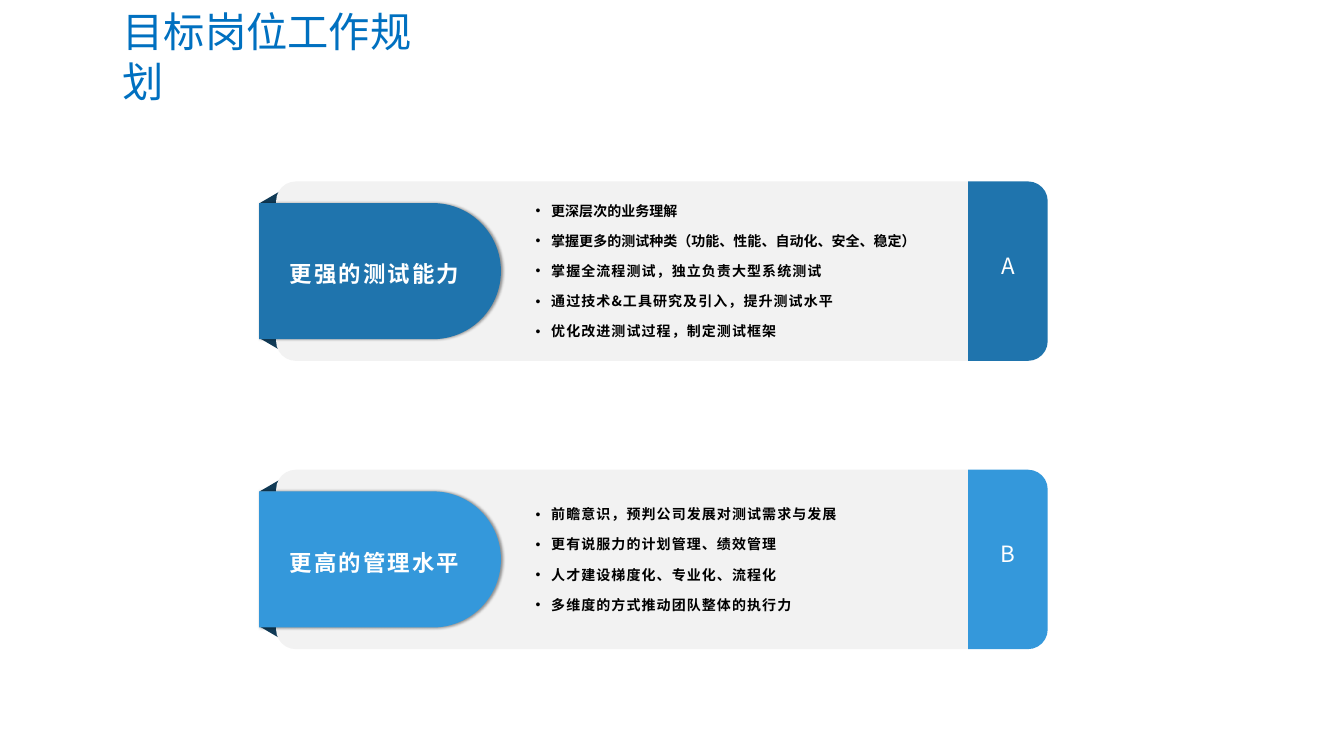
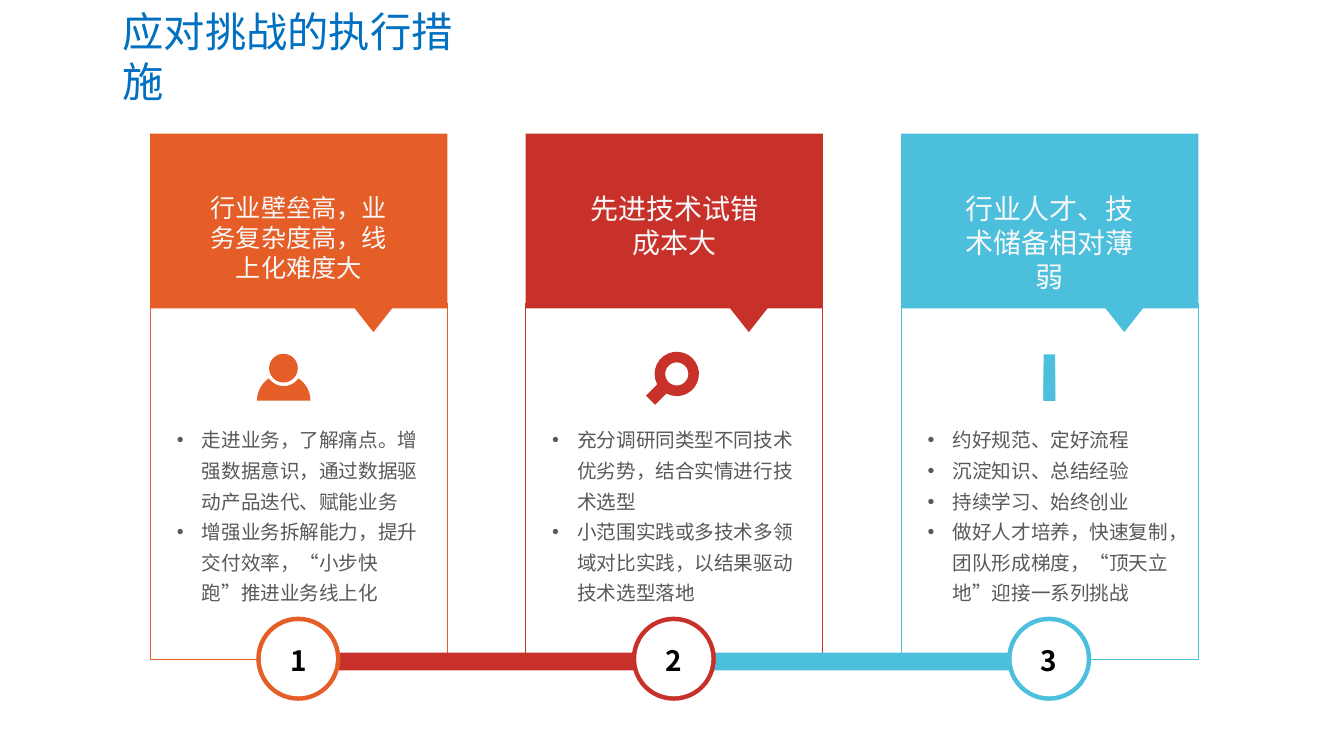
from math import cos, radians, sin

from lxml import etree
from pptx import Presentation
from pptx.dml.color import RGBColor
from pptx.enum.shapes import MSO_SHAPE
from pptx.enum.text import MSO_ANCHOR, PP_ALIGN
from pptx.oxml.ns import qn
from pptx.util import Inches, Pt

RECTANGLE = MSO_SHAPE.RECTANGLE
OVAL = MSO_SHAPE.OVAL
TRIANGLE = MSO_SHAPE.RIGHT_TRIANGLE
ROUNDED_END = MSO_SHAPE.ROUND_2_SAME_RECTANGLE
TOP, MIDDLE = MSO_ANCHOR.TOP, MSO_ANCHOR.MIDDLE
LEFT, CENTER = PP_ALIGN.LEFT, PP_ALIGN.CENTER

CELL = Inches(1)
COLUMNS, ROWS = 26.67, 15
FONT = "Noto Sans CJK SC"
TITLE_BLUE, WHITE, BLACK = "0070C0", "FFFFFF", "000000"
PANEL_GREY, FOLD_NAVY = "F2F2F2", "103A56"
HEADER_WHITE, BODY_GREY = "F8F8F8", "595959"

BANNER_TOP, BANNER_PITCH, BANNER_HEIGHT = 3.6, 5.72, 3.56
TAB_INSET = 0.43
CARD_LEFT, CARD_PITCH, CARD_WIDTH = 2.98, 7.45, 5.9
CARD_TOP, HEADER_BOTTOM, POINTER_TIP = 2.65, 6.12, 6.59
ICON_BASE = 7.95
TRACK_MIDDLE = 13.07

BANNERS = [
    ("更强的测试能力", "A", "1F74AD", [
        ("更深层次的业务理解", 0),
        ("掌握更多的测试种类（功能、性能、自动化、安全、稳定）", 0),
        ("掌握全流程测试，独立负责大型系统测试", 1.5),
        ("通过技术&工具研究及引入，提升测试水平", 1.5),
        ("优化改进测试过程，制定测试框架", 1.5),
    ]),
    ("更高的管理水平", "B", "3498DB", [
        ("前瞻意识，预判公司发展对测试需求与发展", 1.5),
        ("更有说服力的计划管理、绩效管理", 1.5),
        ("人才建设梯度化、专业化、流程化", 1.5),
        ("多维度的方式推动团队整体的执行力", 1.5),
    ]),
]


def cells(*values):
    """Turn grid cells into slide lengths."""
    return [round(value * CELL) for value in values]


def color(hex_string):
    """Turn a hex string into a colour."""
    return RGBColor.from_string(hex_string)


def paint(shape, fill, line=None):
    """Give a shape a flat fill and an optional outline."""
    shape.shadow.inherit = False
    shape.fill.solid()
    shape.fill.fore_color.rgb = color(fill)
    if line:
        shape.line.color.rgb = color(line)
        shape.line.width = Pt(1.13)
    else:
        shape.line.fill.background()
    return shape


def add_block(shapes, kind, box, fill, line=None):
    """Add a preset shape."""
    return paint(shapes.add_shape(kind, *cells(*box)), fill, line)


def add_outline(shapes, contours, fill):
    """Add a closed freeform made of one or more contours."""
    builder = None
    for contour in contours:
        start, *rest = [cells(*point) for point in contour]
        if builder is None:
            builder = shapes.build_freeform(*start, scale=1.0)
        else:
            builder.move_to(*start)
        builder.add_line_segments(rest, close=True)
    return paint(builder.convert_to_shape(), fill)


def arc(center, radius, start, end, steps=24):
    """List points along an arc, in degrees clockwise from the right."""
    angles = [radians(start + (end - start) * step / steps) for step in range(steps + 1)]
    return [(center[0] + radius * cos(angle), center[1] + radius * sin(angle))
            for angle in angles]


def add_rounded_end(shapes, box, radius, rotation, fill):
    """Add a bar whose left (270) or right (90) end is rounded."""
    left, top, width, height = box
    upright = (left + (width - height) / 2, top + (height - width) / 2, height, width)
    shape = add_block(shapes, ROUNDED_END, upright, fill)
    shape.rotation = rotation
    shape.adjustments[0] = radius / min(width, height)
    return shape


def add_drop_shadow(shape):
    """Cast a soft shadow to the right."""
    effects = shape.element.spPr.find(qn("a:effectLst"))
    shadow = etree.SubElement(effects, qn("a:outerShdw"), blurRad=str(Pt(4)),
                              dist=str(Pt(2)), dir="0", rotWithShape="0")
    tint = etree.SubElement(shadow, qn("a:srgbClr"), val=BLACK)
    etree.SubElement(tint, qn("a:alpha"), val="40000")


def add_text_box(shapes, box, anchor=TOP):
    """Add a wrapping text box and return its text frame."""
    frame = shapes.add_textbox(*cells(*box)).text_frame
    frame.word_wrap = True
    frame.vertical_anchor = anchor
    return frame


def add_run(paragraph, text, size, hex_string, bold=False, spacing=0):
    """Add a styled run to a paragraph."""
    run = paragraph.add_run()
    run.text = text
    run.font.size = Pt(size)
    run.font.bold = bold
    run.font.name = FONT
    run.font.color.rgb = color(hex_string)
    properties = run.font._element
    properties.set("lang", "zh-CN")
    if spacing:
        properties.set("spc", str(round(spacing * 100)))
    east_asian = etree.Element(qn("a:ea"), typeface=FONT)
    properties.find(qn("a:latin")).addnext(east_asian)


def add_label(shapes, box, text, size, hex_string, bold=False, spacing=0,
              line_spacing=None, anchor=TOP, align=CENTER):
    """Add a one-paragraph text box."""
    frame = add_text_box(shapes, box, anchor)
    paragraph = frame.paragraphs[0]
    paragraph.alignment = align
    if line_spacing:
        paragraph.line_spacing = line_spacing
    add_run(paragraph, text, size, hex_string, bold, spacing)
    return frame


def add_bullets(shapes, box, items, size, hex_string, indent, bold=False,
                line_spacing=None, gap=0, anchor=TOP):
    """Add a bulleted list of (text, letter spacing) items."""
    frame = add_text_box(shapes, box, anchor)
    for index, (text, spacing) in enumerate(items):
        paragraph = frame.add_paragraph() if index else frame.paragraphs[0]
        properties = paragraph._p.get_or_add_pPr()
        properties.set("marL", str(Inches(indent)))
        properties.set("indent", str(-Inches(indent)))
        etree.SubElement(properties, qn("a:buFont"), typeface="Arial")
        etree.SubElement(properties, qn("a:buChar"), char="•")
        if line_spacing:
            paragraph.line_spacing = line_spacing
        if index and gap:
            paragraph.space_before = Pt(gap)
        add_run(paragraph, text, size, hex_string, bold, spacing)


def add_titled_slide(presentation, title, width):
    """Add a blank slide with the shared title style."""
    slide = presentation.slides.add_slide(presentation.slide_layouts[6])
    frame = add_label(slide.shapes, (2.36, 0.56, width, 1.1), title, 59, TITLE_BLUE,
                      anchor=MIDDLE, align=LEFT)
    frame.margin_left = frame.margin_right = Inches(0.07)
    frame.margin_top = frame.margin_bottom = Inches(0.06)
    return slide


def add_banner(shapes, top, heading, letter, accent, items):
    """Add a ribbon banner with a heading tab, a list and a lettered end."""
    bottom = top + BANNER_HEIGHT
    tab_height = BANNER_HEIGHT - 2 * TAB_INSET
    lower_fold = add_block(shapes, TRIANGLE, (5.28, bottom - 0.59, 0.38, 0.65), FOLD_NAVY)
    lower_fold.element.spPr.xfrm.set("flipV", "1")
    lower_fold.rotation = 90
    upper_fold = add_block(shapes, TRIANGLE, (5.28, top - 0.08, 0.38, 0.65), FOLD_NAVY)
    upper_fold.rotation = 270
    add_rounded_end(shapes, (5.48, top, 13.73, BANNER_HEIGHT), 0.39, 270, PANEL_GREY)
    tab = add_rounded_end(shapes, (5.14, top + TAB_INSET, 4.8, tab_height),
                          tab_height / 2, 90, accent)
    add_drop_shadow(tab)
    add_rounded_end(shapes, (19.21, top, 1.58, BANNER_HEIGHT), 0.39, 90, accent)
    add_label(shapes, (5.57, top + 1.18, 3.72, 1.2), heading, 32, WHITE, bold=True,
              spacing=3, line_spacing=1.2, anchor=MIDDLE)
    add_label(shapes, (19.67, top + 1.24, 0.67, 1.08), letter, 32, WHITE,
              spacing=3, line_spacing=1.2)
    add_bullets(shapes, (10.53, top, 8.68, BANNER_HEIGHT), items, 20, BLACK, 0.31,
                bold=True, gap=19, anchor=MIDDLE)


def add_person_icon(shapes, left, accent):
    """Add a head above shoulders."""
    icon = shapes.add_group_shape().shapes
    middle = left + 2.65
    add_block(icon, OVAL, (middle - 0.29, 7.02, 0.57, 0.57), accent)
    shoulders = (middle, ICON_BASE)
    neck = arc((middle, 7.3), 0.36, 144, 36)
    add_outline(icon, [arc(shoulders, 0.53, 180, 237) + neck
                       + arc(shoulders, 0.53, 303, 360)], accent)


def add_magnifier_icon(shapes, left, accent):
    """Add a lens ring with a handle."""
    x, y = center = (left + 3, 7.42)
    handle = [(x - 0.43, y + 0.61), (x - 0.61, y + 0.43)]
    add_outline(shapes, [arc(center, 0.44, 152, 478) + handle,
                         arc(center, 0.23, 360, 0)], accent)


def add_bars_icon(shapes, left, accent):
    """Add four overlaid bars of growing height."""
    icon = shapes.add_group_shape().shapes
    for count in range(1, 5):
        height = 0.23 * count
        add_block(icon, RECTANGLE, (left + 2.83, ICON_BASE - height, 0.23, height), accent)


def add_card(shapes, left, heading, heading_size, accent, items, add_icon):
    """Add a challenge card with a pointed header, an icon and measures."""
    right = left + CARD_WIDTH
    add_block(shapes, RECTANGLE, (left, 6.02, CARD_WIDTH, 7.07), WHITE, accent)
    add_outline(shapes, [[(left, CARD_TOP), (left, HEADER_BOTTOM),
                          (left + 4.06, HEADER_BOTTOM), (left + 4.43, POINTER_TIP),
                          (left + 4.8, HEADER_BOTTOM), (right, HEADER_BOTTOM),
                          (right, CARD_TOP)]], accent)
    add_bullets(shapes, (left + 0.43, 8.31, 5.04, 3.77), [(item, 0) for item in items],
                28, BODY_GREY, 0.5, line_spacing=1.3)
    add_label(shapes, (left + 1.09, 3.76, 3.72, 2.12), heading, heading_size, HEADER_WHITE)
    add_icon(shapes, left, accent)


def add_badge(shapes, left, number, accent):
    """Add a numbered ring at the foot of a card."""
    badge = shapes.add_group_shape().shapes
    middle = left + 2.94
    for diameter, fill in ((1.67, accent), (1.49, WHITE)):
        add_block(badge, OVAL, (middle - diameter / 2, TRACK_MIDDLE - diameter / 2,
                                diameter, diameter), fill)
    add_label(badge, (middle - 0.41, 12.71, 0.82, 0.77), str(number), 40, BLACK, bold=True)


CARDS = [
    ("行业壁垒高，业务复杂度高，线上化难度大", 36, "E55D27", [
        "走进业务，了解痛点。增强数据意识，通过数据驱动产品迭代、赋能业务",
        "增强业务拆解能力，提升交付效率，“小步快跑”推进业务线上化",
    ], add_person_icon),
    ("先进技术试错成本大", 40, "C7312A", [
        "充分调研同类型不同技术优劣势，结合实情进行技术选型",
        "小范围实践或多技术多领域对比实践，以结果驱动技术选型落地",
    ], add_magnifier_icon),
    ("行业人才、技术储备相对薄弱", 40, "4BBFDC", [
        "约好规范、定好流程",
        "沉淀知识、总结经验",
        "持续学习、始终创业",
        "做好人才培养，快速复制，团队形成梯度，“顶天立地”迎接一系列挑战",
    ], add_bars_icon),
]


def add_plan_slide(presentation):
    """Build the work plan slide."""
    shapes = add_titled_slide(presentation, "目标岗位工作规划", 6.67).shapes
    for index, banner in enumerate(BANNERS):
        add_banner(shapes, BANNER_TOP + index * BANNER_PITCH, *banner)


def add_measures_slide(presentation):
    """Build the slide of challenges and measures."""
    shapes = add_titled_slide(presentation, "应对挑战的执行措施", 7.49).shapes
    lefts = [CARD_LEFT + index * CARD_PITCH for index in range(len(CARDS))]
    for left, card in zip(lefts, CARDS):
        add_card(shapes, left, *card)
    for left, next_card in zip(lefts, CARDS[1:]):
        add_block(shapes, RECTANGLE, (left + 3.67, 12.95, 6.02, 0.35), next_card[2])
    for number, (left, card) in enumerate(zip(lefts, CARDS), start=1):
        add_badge(shapes, left, number, card[2])


def main():
    """Build and save the presentation."""
    presentation = Presentation()
    presentation.slide_width, presentation.slide_height = cells(COLUMNS, ROWS)
    add_plan_slide(presentation)
    add_measures_slide(presentation)
    presentation.save("out.pptx")


if __name__ == "__main__":
    main()
